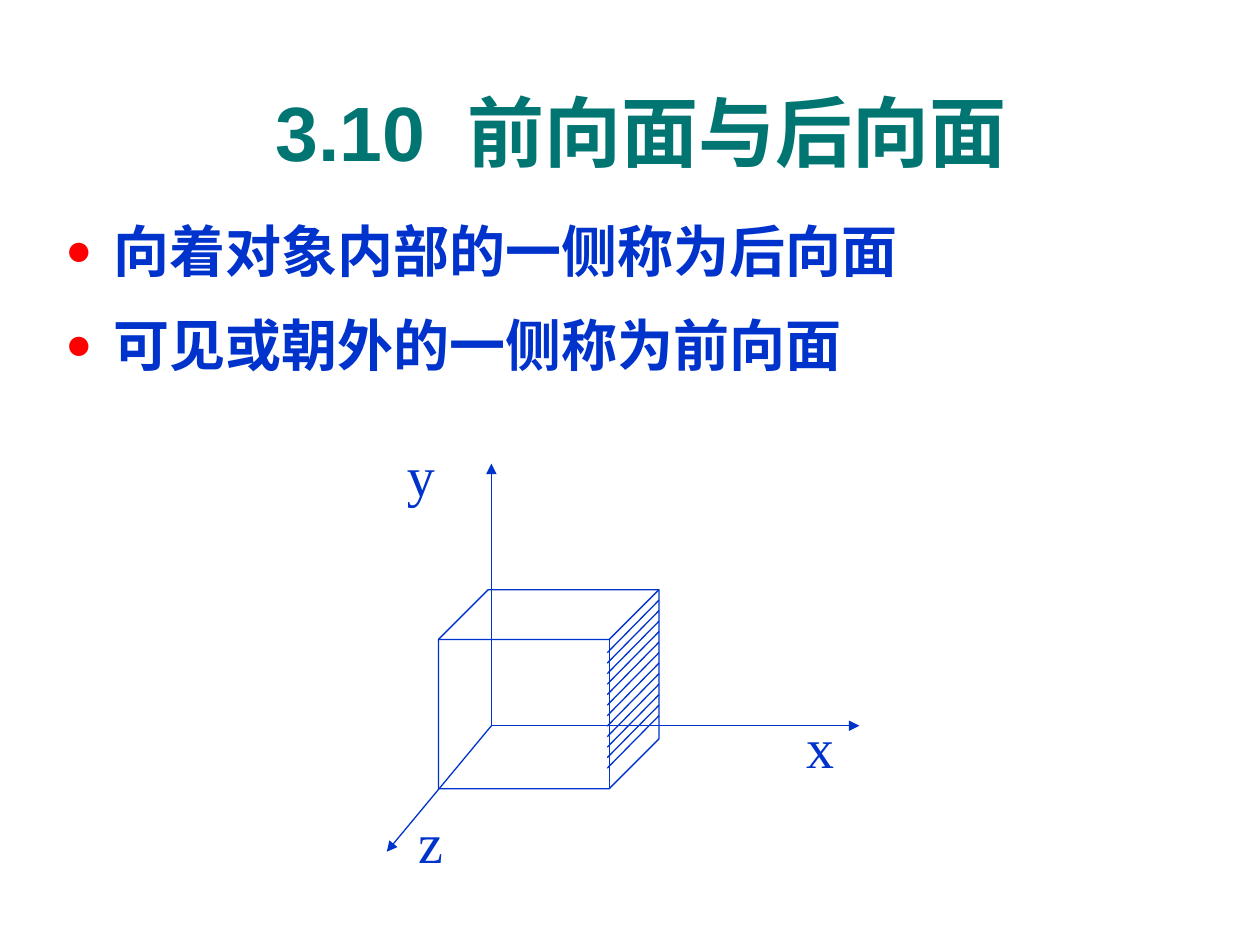
from typing import NamedTuple

from lxml.etree import SubElement
from pptx import Presentation
from pptx.dml.color import RGBColor
from pptx.enum.shapes import MSO_CONNECTOR, MSO_SHAPE
from pptx.enum.text import MSO_ANCHOR, PP_ALIGN
from pptx.oxml.ns import qn
from pptx.util import Inches, Pt

BLUE = RGBColor(0x00, 0x33, 0xCC)
TEAL = RGBColor(0x00, 0x75, 0x72)
RED = RGBColor(0xFF, 0x00, 0x00)
LINE_WIDTH = Pt(0.75)
HATCH_COUNT = 12
HATCH_STEP = 1 / 12


class Box(NamedTuple):
    left: float
    top: float
    width: float
    height: float


class Axis(NamedTuple):
    name: str
    tip: tuple[float, float]
    label: Box


ORIGIN = (3.9, 5.76)
AXES = (
    Axis("x", (6.82, 5.76), Box(6.3, 5.61, 0.42, 0.64)),
    Axis("y", (3.9, 3.68), Box(3.13, 3.45, 0.42, 0.64)),
    Axis("z", (3.07, 6.76), Box(3.22, 6.36, 0.4, 0.64)),
)
CUBE = Box(3.48, 4.68, 1.75, 1.58)


def add_bullet(paragraph) -> None:
    properties = paragraph._p.get_or_add_pPr()
    properties.set("marL", str(Inches(0.38)))
    properties.set("indent", str(-Inches(0.38)))
    color = SubElement(properties, qn("a:buClr"))
    SubElement(color, qn("a:srgbClr"), val=str(RED))
    SubElement(properties, qn("a:buSzPct"), val="80000")
    SubElement(properties, qn("a:buFont"), typeface="Arial")
    SubElement(properties, qn("a:buChar"), char="●")


def add_text(shapes, box: Box, *paragraphs: tuple[str, ...], size=32, font="Arial",
             color=BLUE, bold=False, align=PP_ALIGN.LEFT, anchor=MSO_ANCHOR.TOP,
             wrap=True, line_spacing=1.0, space_before=0, bullets=False,
             gap_tracking=0) -> None:
    """Add paragraphs given as tuples of runs; gap_tracking, in points, widens blank runs."""
    frame = shapes.add_textbox(*map(Inches, box)).text_frame
    frame.word_wrap = wrap
    frame.vertical_anchor = anchor
    for index, runs in enumerate(paragraphs):
        paragraph = frame.add_paragraph() if index else frame.paragraphs[0]
        paragraph.alignment = align
        paragraph.line_spacing = line_spacing
        paragraph.space_before = Pt(space_before if index else 0)
        if bullets:
            add_bullet(paragraph)
        for text in runs:
            run = paragraph.add_run()
            run.text = text
            run.font.size = Pt(size)
            run.font.name = font
            run.font.bold = bold
            run.font.color.rgb = color
            if gap_tracking and text.isspace():
                run._r.get_or_add_rPr().set("spc", str(gap_tracking * 100))


def add_line(shapes, start: tuple[float, float], end: tuple[float, float],
             arrow: bool = False) -> None:
    line = shapes.add_connector(MSO_CONNECTOR.STRAIGHT, *map(Inches, start + end))
    line.line.color.rgb = BLUE
    line.line.width = LINE_WIDTH
    if arrow:
        SubElement(line.line._get_or_add_ln(), qn("a:tailEnd"), type="triangle")
    SubElement(line._element.spPr, qn("a:effectLst"))


def add_cube(shapes) -> None:
    """Add the wireframe cube and the hatching of its right face."""
    cube = shapes.add_shape(MSO_SHAPE.CUBE, *map(Inches, CUBE))
    cube.adjustments[0] = 0.25
    cube.shadow.inherit = False
    cube.fill.background()
    cube.line.color.rgb = BLUE
    cube.line.width = LINE_WIDTH

    right = CUBE.left + CUBE.width
    rise = 5 * HATCH_STEP
    for number in range(1, HATCH_COUNT + 1):
        top = CUBE.top + number * HATCH_STEP
        add_line(shapes, (right - 0.41, top + rise), (right, top))


def main() -> None:
    presentation = Presentation()
    presentation.slide_width = Inches(10)
    presentation.slide_height = Inches(7.5)
    slide = presentation.slides.add_slide(presentation.slide_layouts[6])

    add_text(slide.shapes, Box(0.42, 1.56, 9.07, 1.49),
             ("向着对象内部的一侧称为后向面",), ("可见或朝外的一侧称为前向面",),
             bold=True, line_spacing=1.2, space_before=8, bullets=True)
    add_text(slide.shapes, Box(0.42, 0.47, 9.34, 0.98),
             ("3.10", " ", "前向面与后向面"), size=44, color=TEAL, bold=True,
             align=PP_ALIGN.CENTER, anchor=MSO_ANCHOR.MIDDLE, line_spacing=1.2,
             gap_tracking=12)

    diagram = slide.shapes.add_group_shape().shapes
    for axis in AXES:
        add_line(diagram, ORIGIN, axis.tip, arrow=True)
        add_text(diagram, axis.label, (axis.name,), font="Times New Roman", wrap=False)
    add_cube(diagram)

    presentation.save("out.pptx")


if __name__ == "__main__":
    main()
